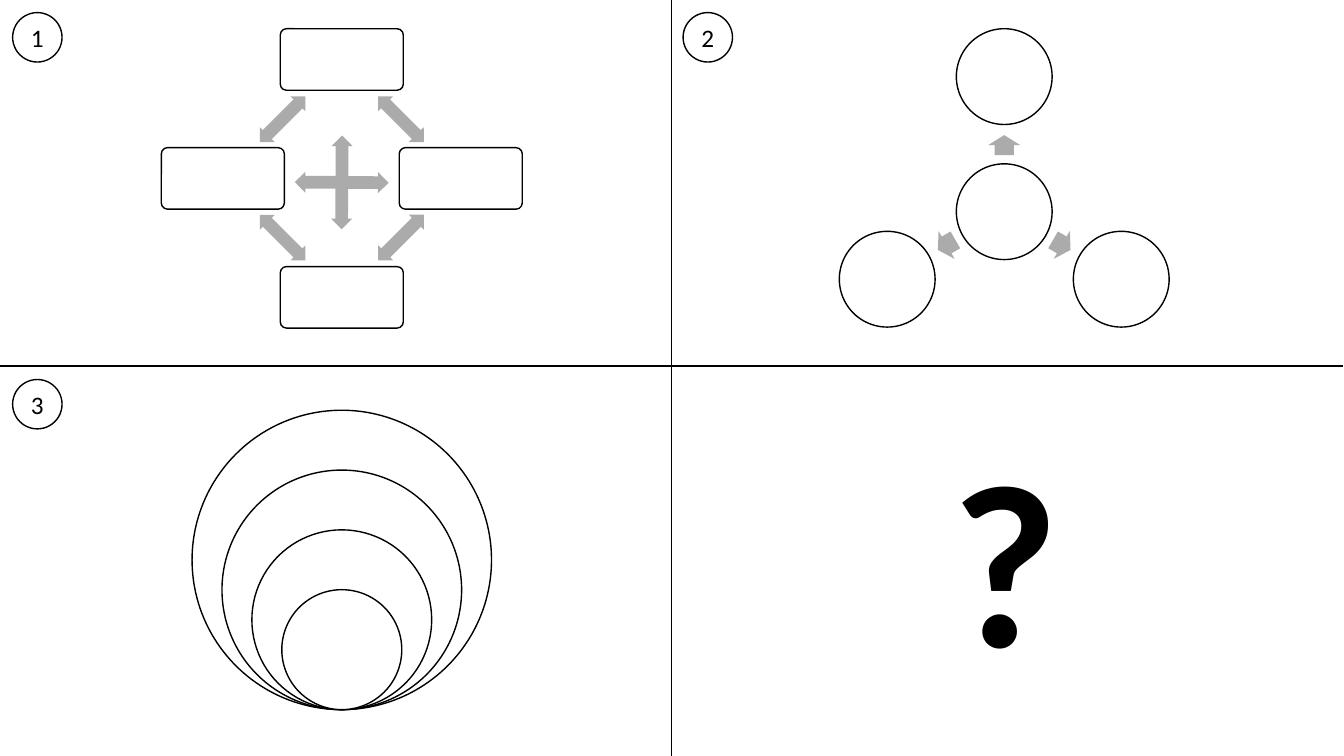
from math import cos, radians, sin

from pptx import Presentation
from pptx.dml.color import RGBColor
from pptx.enum.shapes import MSO_CONNECTOR, MSO_SHAPE as SHAPE
from pptx.enum.text import MSO_ANCHOR as ANCHOR, PP_ALIGN as ALIGN
from pptx.oxml.ns import qn
from pptx.util import Inches, Pt
from lxml.etree import SubElement

COLORS = {"ink": "000000", "paper": "FFFFFF", "arrow": "ABABAB"}


def polar(center, radius, angle):
    """Return the point at an angle in degrees, clockwise from the right."""
    a = radians(angle)
    return center[0] + radius * cos(a), center[1] + radius * sin(a)


class Sketch:
    """Hold the drawing style and the current slide."""

    font = "Calibri"
    line_width = Pt(1)

    def __init__(self, s):
        """Start drawing on a slide."""
        self.s = s

    def color(self, name):
        """Return a named colour."""
        return RGBColor.from_string(COLORS[name])

    def group(self):
        """Add an empty group and return its shapes."""
        return self.s.shapes.add_group_shape().shapes

    def shape(self, shapes, kind, center, w, h, fill="paper"):
        """Add a filled shape around a center point."""
        x, y = center
        sp = shapes.add_shape(kind, Inches(x - w / 2), Inches(y - h / 2),
                              Inches(w), Inches(h))
        sp.shadow.inherit = False
        sp.fill.solid()
        sp.fill.fore_color.rgb = self.color(fill)
        return sp

    def outlined(self, shapes, kind, center, w, h):
        """Add a white shape with a thin black outline."""
        sp = self.shape(shapes, kind, center, w, h)
        sp.line.color.rgb = self.color("ink")
        sp.line.width = self.line_width
        return sp

    def arrow(self, shapes, kind, center, w, h, rotation):
        """Add a grey block arrow turned by an angle."""
        sp = self.shape(shapes, kind, center, w, h, "arrow")
        sp.line.fill.background()
        sp.adjustments[0] = 0.6
        sp.adjustments[1] = 0.5
        sp.rotation = rotation % 360

    def divider(self, x1, y1, x2, y2):
        """Add a straight dividing line."""
        c = self.s.shapes.add_connector(MSO_CONNECTOR.STRAIGHT, Inches(x1),
                                        Inches(y1), Inches(x2), Inches(y2))
        c.line.color.rgb = self.color("ink")
        c.line.width = self.line_width
        SubElement(c._element.spPr, qn("a:effectLst"))

    def label(self, sp, text, size, bold=False):
        """Put one centred run into a shape."""
        tf = sp.text_frame
        tf.word_wrap = True
        p = tf.paragraphs[0]
        p.alignment = ALIGN.CENTER
        r = p.add_run()
        r.text = text
        r.font.name = self.font
        r.font.size = Pt(size)
        r.font.bold = bold
        r.font.color.rgb = self.color("ink")

    def badge(self, text, x, y):
        """Add a numbered circle."""
        sp = self.outlined(self.s.shapes, SHAPE.FLOWCHART_CONNECTOR,
                           (x, y), 0.49, 0.49)
        sp.text_frame.vertical_anchor = ANCHOR.MIDDLE
        self.label(sp, text, 18)

    def radial(self, hub):
        """Add a hub circle with three satellites."""
        shapes = self.group()
        self.outlined(shapes, SHAPE.OVAL, hub, 0.95, 0.95)
        for angle in (-90, 30, 150):
            self.arrow(shapes, SHAPE.RIGHT_ARROW, polar(hub, 0.66, angle),
                       0.2, 0.32, angle)
            self.outlined(shapes, SHAPE.OVAL, polar(hub, 1.34, angle),
                          0.95, 0.95)

    def nested(self, x, bottom, smallest, largest):
        """Add four circles that touch at the bottom."""
        shapes = self.group()
        for k in range(4):
            d = largest - k * (largest - smallest) / 3
            self.outlined(shapes, SHAPE.OVAL, (x, bottom - d / 2), d, d)

    def cycle(self, center):
        """Add four boxes in a ring joined by double arrows."""
        shapes = self.group()
        for angle in range(-90, 270, 90):
            sp = self.outlined(shapes, SHAPE.ROUNDED_RECTANGLE,
                               polar(center, 1.18, angle), 1.22, 0.61)
            sp.adjustments[0] = 0.1
            self.arrow(shapes, SHAPE.LEFT_RIGHT_ARROW,
                       polar(center, 0.83, angle + 45), 0.64, 0.21,
                       angle + 135)

    def cross(self, center):
        """Add two crossing double arrows."""
        for angle in (0.4, 90.4):
            self.arrow(self.s.shapes, SHAPE.LEFT_RIGHT_ARROW, center,
                       0.93, 0.21, angle)

    def question(self, x, y, w, h):
        """Add the large question mark."""
        sp = self.s.shapes.add_textbox(Inches(x), Inches(y), Inches(w),
                                       Inches(h))
        self.label(sp, "?", 166, True)


def main():
    """Build and save the slide."""
    prs = Presentation()
    prs.slide_width, prs.slide_height = Inches(13.33), Inches(7.5)
    sketch = Sketch(prs.slides.add_slide(prs.slide_layouts[6]))
    sketch.divider(0, 3.63, 13.32, 3.63)
    sketch.divider(6.66, 0, 6.66, 7.5)
    sketch.radial((9.96, 2.1))
    sketch.nested(3.39, 7.04, 1.19, 2.97)
    sketch.cycle((3.39, 1.77))
    sketch.cross((3.39, 1.81))
    sketch.question(9.25, 4.07, 1.44, 2.89)
    for text, x, y in (("1", 0.37, 0.37), ("2", 7.02, 0.37),
                       ("3", 0.37, 4.01)):
        sketch.badge(text, x, y)
    prs.save("out.pptx")


if __name__ == "__main__":
    main()
